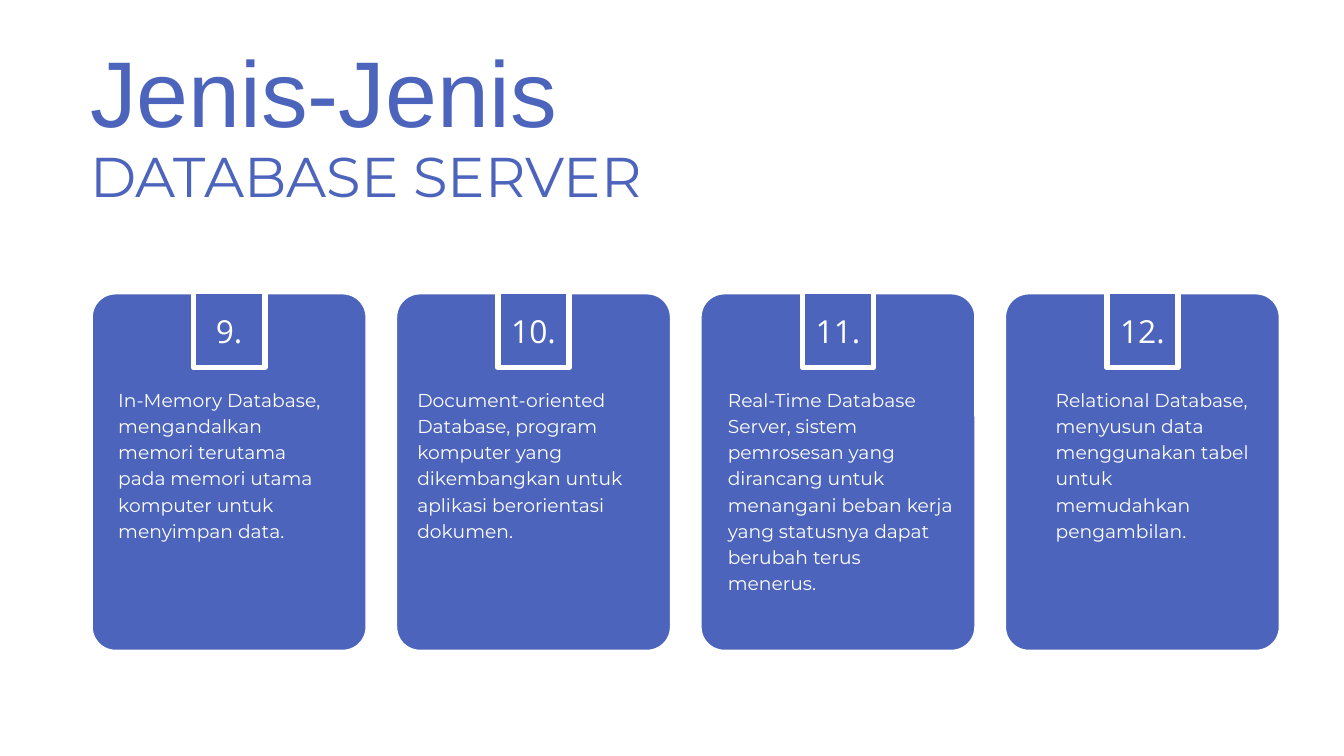
"""Build the slide listing database server types nine to twelve."""
from dataclasses import dataclass

from pptx import Presentation
from pptx.dml.color import RGBColor
from pptx.enum.shapes import MSO_SHAPE as Shape
from pptx.enum.text import MSO_ANCHOR as Anchor, MSO_AUTO_SIZE as AutoSize, PP_ALIGN as Align
from pptx.util import Pt

TITLE = "Jenis-Jenis"
SUBTITLE = "DATABASE SERVER"
CARDS = [
    {"number": "9.", "number_width": 41, "indent": 42, "text_width": 327,
     "text": "In-Memory Database, mengandalkan memori terutama pada memori utama "
             "komputer untuk menyimpan data."},
    {"number": "10.", "number_width": 69, "indent": 34, "text_width": 367,
     "text": "Document-oriented Database, program komputer yang dikembangkan untuk "
             "aplikasi berorientasi dokumen."},
    {"number": "11.", "number_width": 69, "indent": 43, "text_width": 335,
     "text": "Real-Time Database Server, sistem pemrosesan yang dirancang untuk "
             "menangani beban kerja yang statusnya dapat berubah terus menerus."},
    {"number": "12.", "number_width": 69, "indent": 78, "text_width": 290,
     "text": "Relational Database, menyusun data menggunakan tabel untuk "
             "memudahkan pengambilan."},
]

PX = 9144
SLIDE_WIDTH, SLIDE_HEIGHT = 2000, 1125
LEFT, CARD_TOP = 134, 434
CARD_WIDTH, CARD_HEIGHT, CARD_PITCH, CARD_RADIUS = 414, 537, 453, 38
TAB_WIDTH, TAB_HEIGHT = 106, 113
NUMBER_TOP, NUMBER_HEIGHT = 455, 63
BODY_TOP, BODY_HEIGHT = 573, 231


@dataclass(frozen=True)
class TextStyle:
    """Type settings for one kind of text."""
    font: str
    size: int
    spacing: float
    color: RGBColor
    align: Align = Align.LEFT


class Theme:
    """Colours and type of the slide."""
    blue = RGBColor.from_string("4C64BB")
    white = RGBColor.from_string("FFFFFF")
    border = Pt(6)
    title = TextStyle("Arial", 100, 106, blue)
    subtitle = TextStyle("Montserrat", 60, 60, blue)
    number = TextStyle("Open Sans", 34, 47.6, white, Align.CENTER)
    body = TextStyle("Montserrat", 20, 28, white)


def scale(*lengths):
    """Turn px into EMU."""
    return [round(length * PX) for length in lengths]


def write(shape, text, style):
    """Fill a shape with one styled paragraph."""
    frame = shape.text_frame
    frame.text = text
    frame.word_wrap = True
    frame.auto_size = AutoSize.SHAPE_TO_FIT_TEXT
    frame.vertical_anchor = Anchor.TOP
    frame.margin_left = frame.margin_right = frame.margin_top = frame.margin_bottom = 0
    paragraph = frame.paragraphs[0]
    paragraph.alignment = style.align
    paragraph.line_spacing = Pt(style.spacing)
    paragraph.space_before = Pt(0)
    font = paragraph.runs[0].font
    font.name, font.size = style.font, Pt(style.size)
    font.color.rgb = style.color


def add_text(slide, box, text, style):
    """Add a text box."""
    write(slide.shapes.add_textbox(*scale(*box)), text, style)


def add_panel(slide, kind, box):
    """Add a blue panel with a white border."""
    shape = slide.shapes.add_shape(kind, *scale(*box))
    shape.shadow.inherit = False
    shape.fill.solid()
    shape.fill.fore_color.rgb = Theme.blue
    shape.line.color.rgb = Theme.white
    shape.line.width = Theme.border
    return shape


def add_card(slide, left, card):
    """Add one numbered card."""
    center = left + CARD_WIDTH / 2
    panel = add_panel(slide, Shape.ROUNDED_RECTANGLE, (left, CARD_TOP, CARD_WIDTH, CARD_HEIGHT))
    panel.adjustments[0] = CARD_RADIUS / CARD_WIDTH
    add_panel(slide, Shape.RECTANGLE, (center - TAB_WIDTH / 2, CARD_TOP, TAB_WIDTH, TAB_HEIGHT))
    width = card["number_width"]
    add_text(slide, (center - width / 2, NUMBER_TOP, width, NUMBER_HEIGHT),
             card["number"], Theme.number)
    add_text(slide, (left + card["indent"], BODY_TOP, card["text_width"], BODY_HEIGHT),
             card["text"], Theme.body)


def main():
    """Build and save the presentation."""
    presentation = Presentation()
    presentation.slide_width, presentation.slide_height = scale(SLIDE_WIDTH, SLIDE_HEIGHT)
    slide = presentation.slides.add_slide(presentation.slide_layouts[5])
    title = slide.shapes.title
    title.left, title.top, title.width, title.height = scale(LEFT, 70, 739, 152)
    write(title, TITLE, Theme.title)
    add_text(slide, (LEFT, 227, 1113, 89), SUBTITLE, Theme.subtitle)
    for index, card in enumerate(CARDS):
        add_card(slide, LEFT + index * CARD_PITCH, card)
    presentation.save("out.pptx")


if __name__ == "__main__":
    main()
